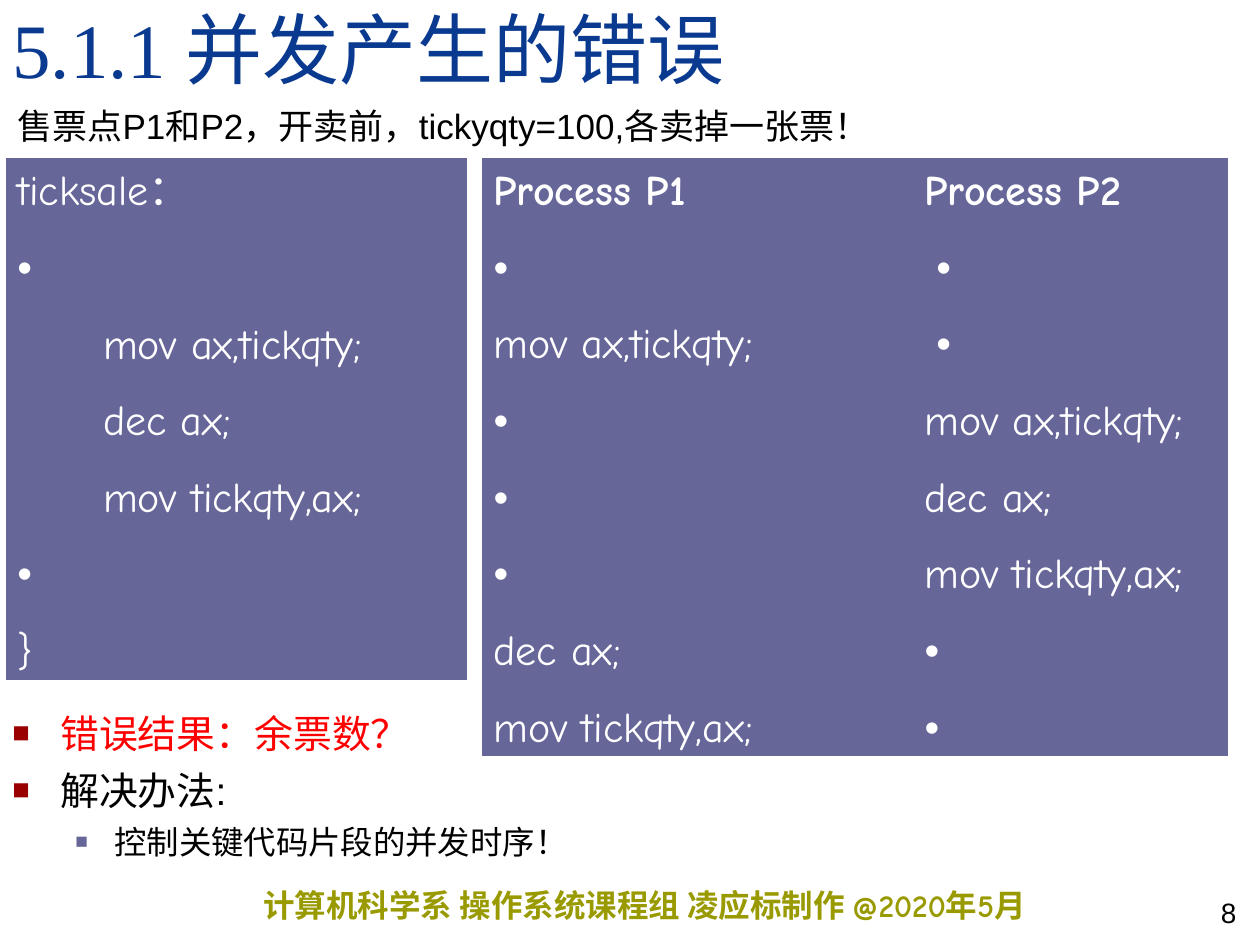
from lxml import etree
from pptx import Presentation
from pptx.dml.color import RGBColor
from pptx.enum.shapes import MSO_SHAPE
from pptx.enum.text import MSO_ANCHOR, PP_ALIGN
from pptx.oxml.ns import qn
from pptx.util import Inches, Pt

RECT = MSO_SHAPE.RECTANGLE
TOP, BOTTOM = MSO_ANCHOR.TOP, MSO_ANCHOR.BOTTOM
LEFT, RIGHT = PP_ALIGN.LEFT, PP_ALIGN.RIGHT
COLORS = {"title": "0A3A90", "text": "000000", "alert": "FF0000", "panel": "666699",
          "white": "FFFFFF", "bullet": "990000", "footer": "999900"}
SANS, SERIF, COMIC = "Arial", "Times New Roman", "Comic Neue"
DOT = "•"
LOAD, DEC, STORE = "mov ax,tickqty;", "dec ax;", "mov tickqty,ax;"


def rgb(key):
    """Return the named colour."""
    return RGBColor.from_string(COLORS[key])


def set_font(font, size, name, color, bold=False):
    """Set the size, face, colour and weight of a font."""
    font.size, font.name, font.bold = Pt(size), name, bold
    font.color.rgb = rgb(color)


def setup_frame(sp, anchor=TOP, inset=0.1):
    """Prepare the text frame of a shape and return it."""
    tf = sp.text_frame
    tf.word_wrap = True
    tf.vertical_anchor = anchor
    tf.margin_left = tf.margin_right = Inches(inset)
    tf.margin_top = tf.margin_bottom = Inches(0.05)
    return tf


def add_text(s, box, text, size, name, color, bold=False, anchor=TOP, align=LEFT, inset=0.1):
    """Add a one-paragraph text box and return its paragraph."""
    sp = s.shapes.add_textbox(*map(Inches, box))
    p = setup_frame(sp, anchor, inset).paragraphs[0]
    p.text = text
    p.alignment = align
    set_font(p.font, size, name, color, bold)
    return p


def add_sub(parent, tag, **attrs):
    """Append a DrawingML element to a parent."""
    return etree.SubElement(parent, qn(tag), **attrs)


def add_bullet(p, color, percent, margin, indent):
    """Give a paragraph a square bullet with a hanging indent."""
    pPr = p._p.get_or_add_pPr()
    pPr.set("marL", str(Inches(margin)))
    pPr.set("indent", str(-Inches(indent)))
    add_sub(add_sub(pPr, "a:buClr"), "a:srgbClr", val=COLORS[color])
    add_sub(pPr, "a:buSzPct", val=str(percent * 1000))
    add_sub(pPr, "a:buFont", typeface=SANS)
    add_sub(pPr, "a:buChar", char="■")


def add_tab(p, pos):
    """Give a paragraph one left tab stop."""
    tabs = add_sub(p._p.get_or_add_pPr(), "a:tabLst")
    add_sub(tabs, "a:tab", pos=str(Inches(pos)), algn="l")


def add_code_panel(s, box, rows, tab, bold_head=False):
    """Add a filled panel whose rows hold cells parted by one tab stop."""
    sp = s.shapes.add_shape(RECT, *map(Inches, box))
    sp.shadow.inherit = False
    sp.fill.solid()
    sp.fill.fore_color.rgb = rgb("panel")
    sp.line.color.rgb = rgb("white")
    sp.line.width = Pt(0.75)
    tf = setup_frame(sp)
    for i, cells in enumerate(rows):
        p = tf.add_paragraph() if i else tf.paragraphs[0]
        p.alignment = LEFT
        p.space_before = Pt(15 if i else 0)
        add_tab(p, tab)
        set_font(p.font, 24, COMIC, "white", bold_head and i == 0)
        for j, cell in enumerate(cells):
            r = p.add_run()
            r.text = "\t" * j + cell
            if DOT in cell:
                r.font.name = SANS


def add_conclusion(s, box, items):
    """Add the bulleted list of two levels."""
    styles = [(22.2, 6, "bullet", 75, 0.38, 0.38), (18.5, 5, "panel", 65, 0.81, 0.31)]
    tf = setup_frame(s.shapes.add_textbox(*map(Inches, box)))
    for i, (level, text, color) in enumerate(items):
        size, before, *bullet = styles[level]
        p = tf.add_paragraph() if i else tf.paragraphs[0]
        p.text = text
        p.level = level
        p.space_before = Pt(before if i else 0)
        add_bullet(p, *bullet)
        set_font(p.font, size, SANS, color)


def build_slide(prs):
    """Place all regions of the concurrency error slide."""
    s = prs.slides.add_slide(prs.slide_layouts[6])
    add_text(s, (2.09, 6.98, 7.32, 0.4), "计算机科学系 操作系统课程组 凌应标制作 @2020年5月",
             18, COMIC, "footer", bold=True, inset=0)
    add_text(s, (8.33, 6.92, 1.58, 0.5), "8", 16, SANS, "text", anchor=BOTTOM, align=RIGHT)
    title = add_text(s, (0, 0, 8.5, 0.79), "5.1.1 并发产生的错误", 44, SERIF, "title", anchor=BOTTOM)
    title.line_spacing = 0.8
    add_conclusion(s, (0, 5.58, 7.4, 1.32), [
        (0, "错误结果：余票数？", "alert"),
        (0, "解决办法:", "text"),
        (1, "控制关键代码片段的并发时序！", "text")])
    add_code_panel(s, (0.04, 1.25, 3.67, 4.15), [
        ("ticksale：",), (DOT,), ("", LOAD), ("", DEC), ("", STORE), (DOT,), ("}",)], 0.68)
    add_code_panel(s, (3.82, 1.25, 5.93, 4.76), [
        ("Process P1", "Process P2"), (DOT, " " + DOT), (LOAD, " " + DOT), (DOT, LOAD),
        (DOT, DEC), (DOT, STORE), (DEC, DOT), (STORE, DOT)], 3.42, bold_head=True)
    add_text(s, (0.04, 0.78, 8.46, 0.44), "售票点P1和P2，开卖前，tickyqty=100,各卖掉一张票！",
             20, SANS, "text")


def main():
    """Build and save the presentation."""
    prs = Presentation()
    prs.slide_width, prs.slide_height = Inches(10), Inches(7.5)
    build_slide(prs)
    prs.save("out.pptx")


if __name__ == "__main__":
    main()
